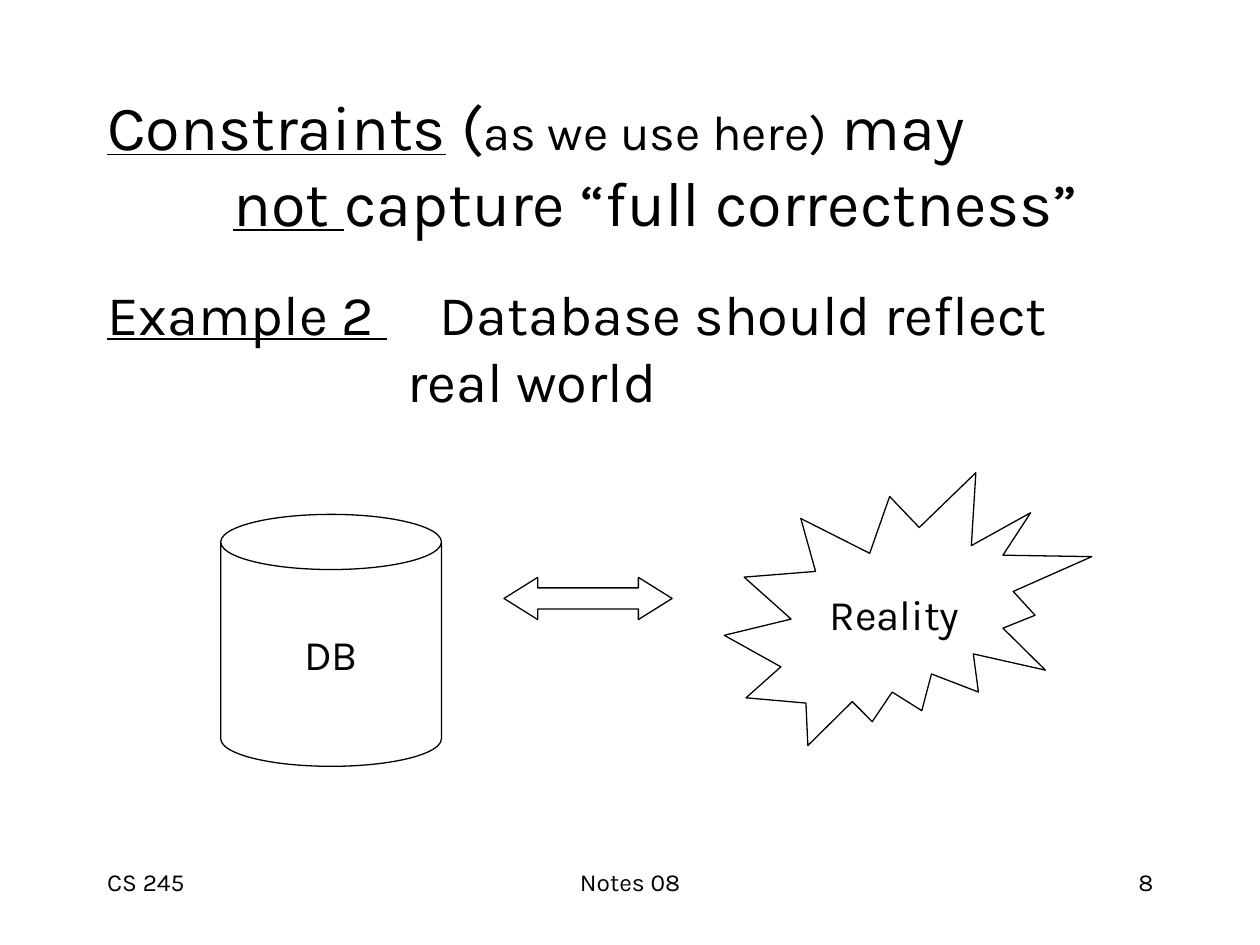
from lxml import etree
from pptx import Presentation
from pptx.dml.color import RGBColor
from pptx.enum.shapes import MSO_SHAPE
from pptx.enum.text import MSO_ANCHOR, MSO_AUTO_SIZE, PP_ALIGN
from pptx.oxml.ns import qn
from pptx.util import Cm, Pt

LEFT, MID, RIGHT = PP_ALIGN.LEFT, PP_ALIGN.CENTER, PP_ALIGN.RIGHT
TOP, CENTER = MSO_ANCHOR.TOP, MSO_ANCHOR.MIDDLE
FIXED = MSO_AUTO_SIZE.NONE
CAN, BURST = MSO_SHAPE.CAN, MSO_SHAPE.EXPLOSION2
ARROW = MSO_SHAPE.LEFT_RIGHT_ARROW

FONT, INK, PAPER = "Karla", "000000", "FFFFFF"
EDGE, WIDE = 1.91, 21.59

TITLE = [
    [("Constraints", 36, True), (" (", 36), ("as we use here)", 28),
     (" may ", 36)],
    [("not ", 36, True), ("capture “full correctness”", 36)],
]
BODY = [
    [("Example 2 ", 32, True), (" ", 32, False, 22.3),
     ("Database should reflect", 32)],
    [("real world", 32)],
]
HEADS = [
    (TITLE, (EDGE, 1.7, WIDE, 3.18), CENTER, 2.54),
    (BODY, (EDGE, 5.51, WIDE, 11.43), TOP, 6.05),
]
SHAPES = [
    (CAN, (4.45, 10.37, 4.45, 5.08), [0.25], "DB"),
    (BURST, (14.6, 9.53, 7.41, 5.5), [], "Reality"),
    (ARROW, (10.16, 11.64, 3.39, 0.85), [0.5, 0.8], ""),
]
FOOT = [("CS 245", 5.28, LEFT), ("Notes 08", 8.05, MID), ("8", 5.28, RIGHT)]


def color(code):
    """Turn a hex string into a colour."""
    return RGBColor.from_string(code)


def apply(item, vals):
    """Set each named attribute of an item."""
    for name, val in vals.items():
        setattr(item, name, val)


def style(run, size, under=False, track=0):
    """Format the font of one run, with tracking in points."""
    apply(run.font, {"name": FONT, "size": Pt(size), "underline": under})
    run.font.color.rgb = color(INK)
    if track:
        run._r.get_or_add_rPr().set("spc", str(round(track * 100)))


def hang(para, depth):
    """Drop the bullet and indent all lines but the first."""
    props = para._p.get_or_add_pPr()
    props.set("marL", str(Cm(depth)))
    props.set("indent", str(-Cm(depth)))
    etree.SubElement(props, qn("a:buNone"))


def write(frame, lines, align=LEFT, depth=0):
    """Fill a frame with one paragraph of formatted lines."""
    para = frame.paragraphs[0]
    if depth:
        hang(para, depth)
    apply(para, {"alignment": align, "space_before": Pt(0)})
    for num, line in enumerate(lines):
        if num:
            para.add_line_break()
        for text, *form in line:
            run = para.add_run()
            run.text = text
            style(run, *form)


def place(item, box):
    """Move and size an item, given in centimetres."""
    apply(item, dict(zip(("left", "top", "width", "height"), map(Cm, box))))


def main():
    """Build the slide and save it."""
    deck = Presentation()
    apply(deck, {"slide_width": Cm(25.4), "slide_height": Cm(19.05)})
    slide = deck.slides.add_slide(deck.slide_layouts[1])

    for holder, (lines, box, anchor, depth) in zip(slide.placeholders, HEADS):
        place(holder, box)
        frame = holder.text_frame
        apply(frame, {"auto_size": FIXED, "word_wrap": True,
                      "vertical_anchor": anchor})
        write(frame, lines, depth=depth)

    for kind, box, adjust, text in SHAPES:
        shape = slide.shapes.add_shape(kind, *map(Cm, box))
        shape.shadow.inherit = False
        shape.fill.solid()
        shape.fill.fore_color.rgb = color(PAPER)
        shape.line.color.rgb = color(INK)
        shape.line.width = Pt(0.75)
        for num, val in enumerate(adjust):
            shape.adjustments[num] = val
        if text:
            apply(shape.text_frame, {"word_wrap": False,
                                     "vertical_anchor": CENTER})
            write(shape.text_frame, [[(text, 24)]], MID)

    gap = (WIDE - sum(wide for _, wide, _ in FOOT)) / (len(FOOT) - 1)
    left = EDGE
    for text, wide, align in FOOT:
        box = (left, 17.35, wide, 1.27)
        frame = slide.shapes.add_textbox(*map(Cm, box)).text_frame
        frame.word_wrap = True
        write(frame, [[(text, 14)]], align)
        left += wide + gap

    deck.save("out.pptx")


if __name__ == "__main__":
    main()
